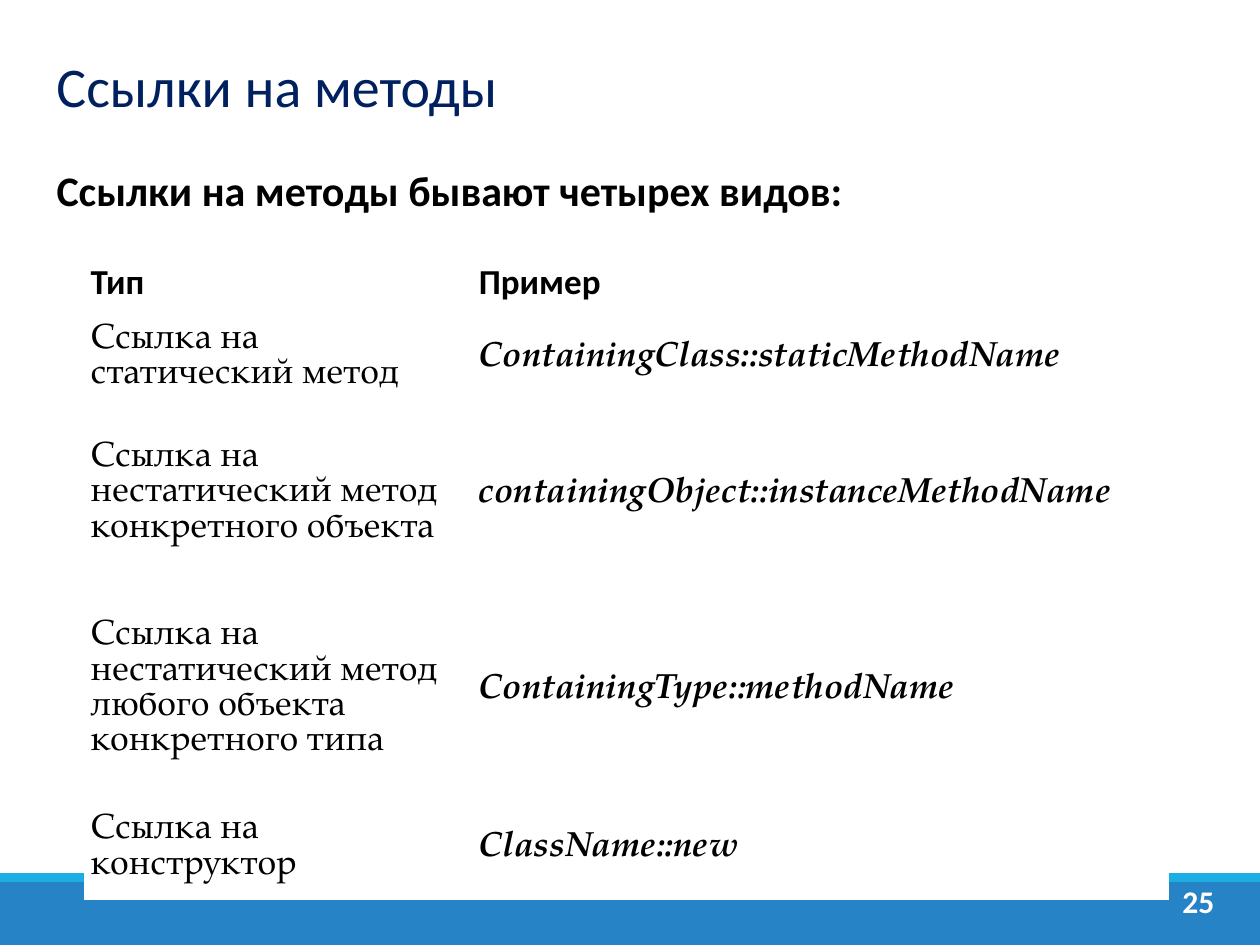
import pptx
import pptx.util
import pptx.dml.color
import pptx.enum.shapes
import pptx.enum.text
from pptx.util import Inches

RGBColor = pptx.dml.color.RGBColor
Align = pptx.enum.text.PP_ALIGN
Anchor = pptx.enum.text.MSO_ANCHOR

WHITE = RGBColor(0xFF, 0xFF, 0xFF)
BLACK = RGBColor(0x00, 0x00, 0x00)
NAVY = RGBColor(0x00, 0x20, 0x60)
BLUE = RGBColor(0x26, 0x83, 0xC6)
CYAN = RGBColor(0x1C, 0xAD, 0xE4)

HEADING_FONT = "Calibri"
BODY_FONT = "TeX Gyre Pagella"

COLUMN_WIDTHS = [3.08, 5.52]
ROW_HEIGHTS = [0.44, 0.72, 1.39, 1.72, 0.8]
REFERENCE_KINDS = [
    ("Ссылка на статический метод", "ContainingClass::staticMethodName"),
    ("Ссылка на нестатический метод конкретного объекта",
     "containingObject::instanceMethodName"),
    ("Ссылка на нестатический метод любого объекта конкретного типа",
     "ContainingType::methodName"),
    ("Ссылка на конструктор", "ClassName::new"),
]


def add_run(paragraph, text, size, color=BLACK, font=HEADING_FONT,
            bold=False, italic=False):
    run = paragraph.add_run()
    run.text = text
    run.font.size = pptx.util.Pt(size)
    run.font.name = font
    run.font.bold = bold
    run.font.italic = italic
    run.font.color.rgb = color


def add_bar(slide, box, color):
    bar = slide.shapes.add_shape(
        pptx.enum.shapes.MSO_SHAPE.RECTANGLE, *map(Inches, box))
    bar.shadow.inherit = False
    bar.fill.solid()
    bar.fill.fore_color.rgb = color
    bar.line.fill.background()


def add_line_of_text(slide, box, text, size, color, bold=True,
                     align=Align.LEFT, anchor=Anchor.TOP):
    frame = slide.shapes.add_textbox(*map(Inches, box)).text_frame
    frame.word_wrap = True
    frame.vertical_anchor = anchor
    paragraph = frame.paragraphs[0]
    paragraph.alignment = align
    add_run(paragraph, text, size, color, bold=bold)


def add_footer(slide, left, top, width, height):
    stripe = 0.07
    add_bar(slide, (left, top + stripe, width, height - stripe), BLUE)
    add_bar(slide, (left, top, width, stripe), CYAN)
    add_line_of_text(slide, (left + width - 0.73, top + 0.02, 0.48, 0.4),
                     "25", 18, WHITE, align=Align.CENTER)


def fill_cell(cell, text, **style):
    cell.fill.solid()
    cell.fill.fore_color.rgb = WHITE
    cell.vertical_anchor = Anchor.MIDDLE
    cell.margin_left = cell.margin_right = Inches(0.05)
    cell.margin_top = cell.margin_bottom = Inches(0.05)
    add_run(cell.text_frame.paragraphs[0], text, 20, **style)


def add_reference_table(slide, left, top):
    table = slide.shapes.add_table(
        len(ROW_HEIGHTS), len(COLUMN_WIDTHS), Inches(left), Inches(top),
        Inches(sum(COLUMN_WIDTHS)), Inches(sum(ROW_HEIGHTS))).table
    table.first_row = table.horz_banding = False
    for column, width in zip(table.columns, COLUMN_WIDTHS):
        column.width = Inches(width)
    for row, height in zip(table.rows, ROW_HEIGHTS):
        row.height = Inches(height)
    for index, heading in enumerate(("Тип", "Пример")):
        fill_cell(table.cell(0, index), heading, bold=True)
    for index, (kind, example) in enumerate(REFERENCE_KINDS, start=1):
        fill_cell(table.cell(index, 0), kind, font=BODY_FONT)
        fill_cell(table.cell(index, 1), example, font=BODY_FONT,
                  bold=True, italic=True)


def main():
    deck = pptx.Presentation()
    deck.slide_width, deck.slide_height = Inches(10), Inches(7.5)
    slide = deck.slides.add_slide(deck.slide_layouts[6])
    add_footer(slide, 0, 6.93, 10, 0.57)
    add_line_of_text(slide, (0.35, 0.29, 9, 0.77), "Ссылки на методы", 32,
                     NAVY, bold=False, anchor=Anchor.MIDDLE)
    add_line_of_text(slide, (0.35, 1.26, 9.15, 5.48),
                     "Ссылки на методы бывают четырех видов:", 24, BLACK,
                     align=Align.JUSTIFY)
    add_reference_table(slide, 0.67, 2.02)
    deck.save("out.pptx")


if __name__ == "__main__":
    main()
